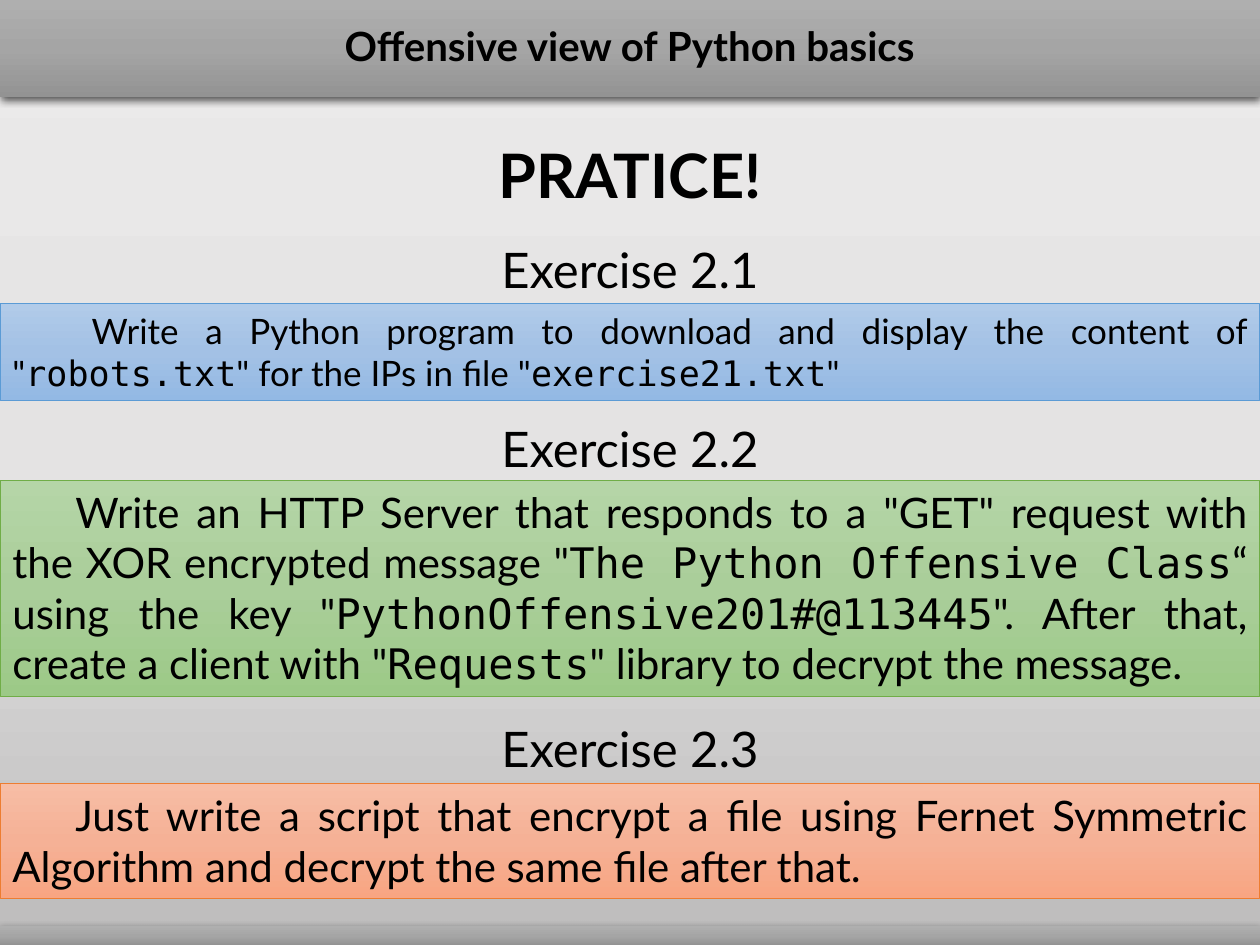
"""Build the practice slide with three Python exercises."""
from copy import deepcopy

from lxml import etree
from pptx import Presentation
from pptx.dml.color import RGBColor
from pptx.enum.shapes import MSO_SHAPE
from pptx.enum.text import MSO_ANCHOR, MSO_AUTO_SIZE, PP_ALIGN
from pptx.oxml.ns import qn
from pptx.util import Inches, Pt

RECTANGLE = MSO_SHAPE.RECTANGLE
MIDDLE, TOP = MSO_ANCHOR.MIDDLE, MSO_ANCHOR.TOP
NO_AUTOFIT = MSO_AUTO_SIZE.NONE
CENTER, JUSTIFY = PP_ALIGN.CENTER, PP_ALIGN.JUSTIFY
TEXT_FONT, CODE_FONT = "Lato", "DejaVu Sans Mono"
BAR_COLORS = ("AFAFAF", "A5A5A5", "939393")


def fill_gradient(owner, fill, colors):
    fill.gradient()
    fill.gradient_angle = 270
    stops = owner.element.find(".//" + qn("a:gsLst"))
    stops.insert(1, deepcopy(stops[0]))
    for index, (stop, color) in enumerate(zip(fill.gradient_stops, colors)):
        stop.position = index / 2
        stop.color.rgb = RGBColor.from_string(color)


def write_text(shape, parts, size, alignment=CENTER, bold=False, anchor=TOP):
    frame = shape.text_frame
    frame.word_wrap = True
    frame.auto_size = NO_AUTOFIT
    frame.vertical_anchor = anchor
    paragraph = frame.paragraphs[0]
    paragraph.alignment = alignment
    for index, part in enumerate(parts):
        run = paragraph.add_run()
        run.text = part
        run.font.color.rgb = RGBColor.from_string("000000")
        font_format = {"name": CODE_FONT if index % 2 else TEXT_FONT, "size": Pt(size), "bold": bold}
        for name, value in font_format.items():
            setattr(run.font, name, value)
    return paragraph


presentation = Presentation()
presentation.slide_width, presentation.slide_height = Inches(10), Inches(7.5)
slide = presentation.slides.add_slide(presentation.slide_layouts[5])
fill_gradient(slide, slide.background.fill, ("EBEAEA", "E4E3E3", "BDBCBC"))
width = presentation.slide_width

title = slide.shapes.title
title_place = {"left": 0, "top": 0, "width": width, "height": Inches(0.77)}
for name, value in title_place.items():
    setattr(title, name, value)
title_paragraph = write_text(title, ["Offensive view of Python basics"], 23, bold=True, anchor=MIDDLE)
title_paragraph.line_spacing = 0.9
footer = slide.shapes.add_shape(RECTANGLE, 0, Inches(7.35), width, Inches(0.15))
footer.line.fill.background()

for bar in (title, footer):
    fill_gradient(bar, bar.fill, BAR_COLORS)
    effects = etree.SubElement(bar.element.spPr, qn("a:effectLst"))
    shadow = etree.SubElement(effects, qn("a:outerShdw"), blurRad=str(Pt(4.5)), dist=str(Pt(1.5)),
                              dir="5400000", algn="ctr", rotWithShape="0")
    shadow_color = etree.SubElement(shadow, qn("a:srgbClr"), val="000000")
    etree.SubElement(shadow_color, qn("a:alpha"), val="63000")

headline = slide.shapes.add_textbox(0, Inches(1.04), width, Inches(0.69))
write_text(headline, ["PRATICE!"], 35, bold=True)

exercises = [
    {"heading": "Exercise 2.1", "heading_top": 1.85, "top": 2.41, "height": 0.77,
     "colors": ("B1CBE9", "A3C1E5", "93B9E4"), "line": "5B9BD5", "size": 20, "indent": 0.63,
     "parts": ['Write a Python program to download and display the content of "', "robots.txt",
               '" for the IPs in file "', "exercise21.txt", '"']},
    {"heading": "Exercise 2.2", "heading_top": 3.27, "top": 3.81, "height": 1.72,
     "colors": ("B5D5A7", "AACE9A", "9CC987"), "line": "70AD47", "size": 24, "indent": 0.5,
     "parts": ['Write an HTTP Server that responds to a "GET" request with the XOR encrypted message "',
               "The Python Offensive Class", '“ using the key "', "PythonOffensive201#@113445",
               '". After that, create a client with "', "Requests", '" library to decrypt the message.']},
    {"heading": "Exercise 2.3", "heading_top": 5.65, "top": 6.22, "height": 0.91,
     "colors": ("F7BDA5", "F5B196", "F8A582"), "line": "ED7D31", "size": 24, "indent": 0.5,
     "parts": ["Just write a script that encrypt a file using Fernet Symmetric Algorithm "
               "and decrypt the same file after that."]},
]
for exercise in exercises:
    heading = slide.shapes.add_textbox(0, Inches(exercise["heading_top"]), width, Inches(0.57))
    write_text(heading, [exercise["heading"]], 28)
    box = slide.shapes.add_shape(RECTANGLE, 0, Inches(exercise["top"]), width, Inches(exercise["height"]))
    box.shadow.inherit = False
    fill_gradient(box, box.fill, exercise["colors"])
    box.line.color.rgb = RGBColor.from_string(exercise["line"])
    box.line.width = Pt(0.5)
    paragraph = write_text(box, exercise["parts"], exercise["size"], JUSTIFY)
    paragraph._p.get_or_add_pPr().set("indent", str(Inches(exercise["indent"])))

presentation.save("out.pptx")
